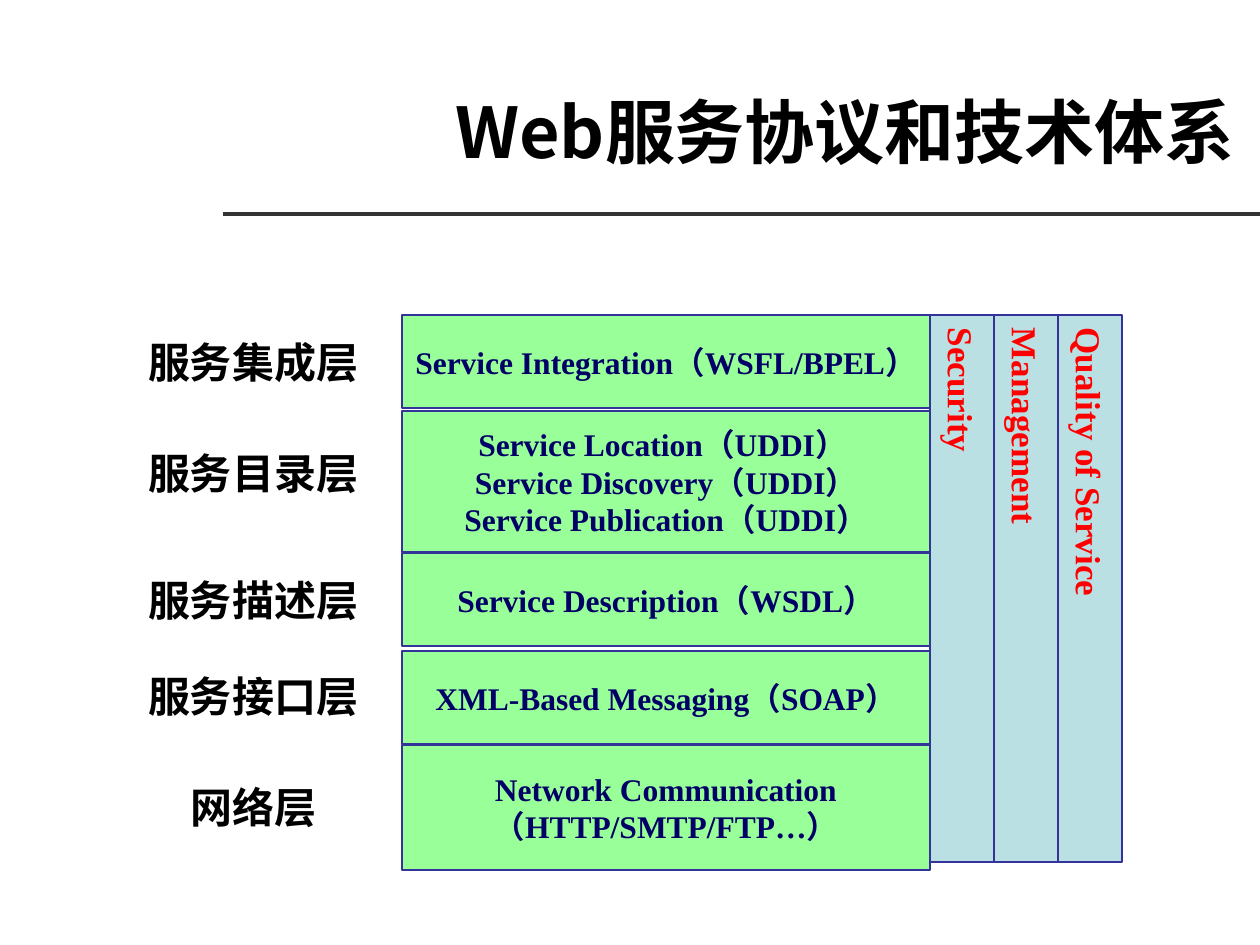
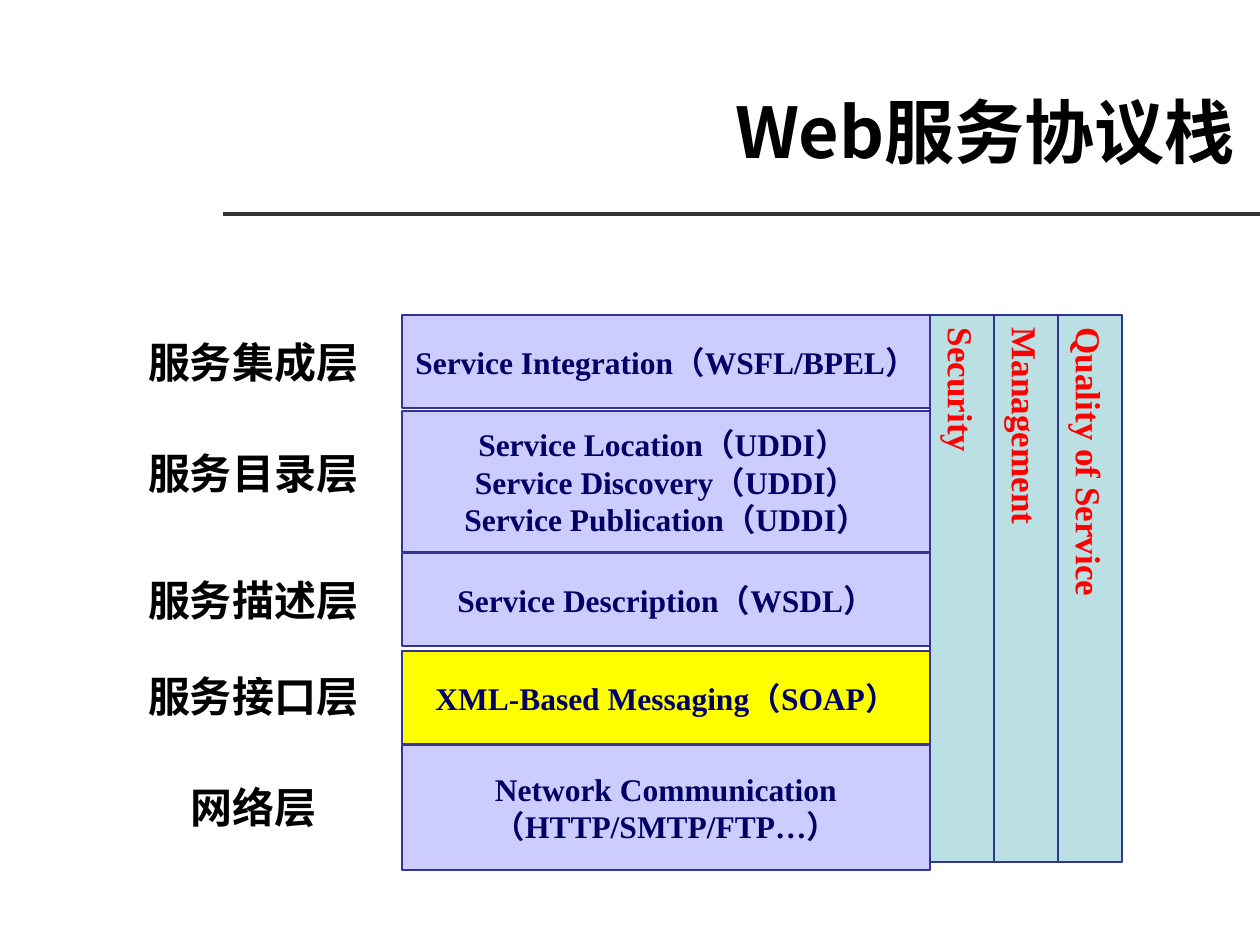
from lxml.etree import SubElement
from pptx import Presentation
from pptx.dml.color import RGBColor
from pptx.enum.shapes import MSO_CONNECTOR, MSO_SHAPE
from pptx.enum.text import MSO_ANCHOR, MSO_AUTO_SIZE, PP_ALIGN
from pptx.oxml.ns import qn
from pptx.util import Emu, Pt

PX_PER_INCH = 126
SLIDE_W, SLIDE_H = 1260, 945
TITLE_ONLY = 5

SANS, SERIF = "Noto Sans CJK SC", "Times New Roman"
BLACK, RULE, EDGE = "000000", "333333", "333399"
NAVY, RED = "000066", "FF0000"
GREEN, LILAC, YELLOW, TEAL = "99FF99", "CCCCFF", "FFFF00", "BBE0E3"

STACK_TOP, ROW_H = 315, 93
LABEL_X, LABEL_W = 105, 296
LAYER_X, LAYER_W = 402, 528
PILLAR_W, PILLAR_H = 64, 547

# name, top of the name
LABELS = [
    ("服务集成层", STACK_TOP),
    ("服务目录层", 426),
    ("服务描述层", 553),
    ("服务接口层", 649),
    ("网络层", 760),
]
# text lines, top, height
LAYERS = [
    (["Service Integration（WSFL/BPEL）"], STACK_TOP, ROW_H),
    (["Service Location（UDDI） ", "Service Discovery（UDDI）",
      "Service Publication（UDDI）"], 411, 141),
    (["Service Description（WSDL）"], 553, ROW_H),
    (["XML-Based Messaging（SOAP）"], 651, ROW_H),
    (["Network Communication", "（HTTP/SMTP/FTP…）"], 745, 125),
]
SOAP_LAYER = 3
PILLARS = ["Security", "Management", "Quality of Service"]


def px(n):
    return Emu(round(n * 914400 / PX_PER_INCH))


def rgb(color):
    return RGBColor.from_string(color)


def write(sp, lines, size, color=BLACK, font=SERIF, align=PP_ALIGN.CENTER,
          wrap=False, insets=None, vert=None):
    """Fill a shape with bold paragraphs; insets are (horizontal, vertical) points."""
    tf = sp.text_frame
    tf.auto_size = MSO_AUTO_SIZE.NONE
    tf.word_wrap = wrap
    tf.vertical_anchor = MSO_ANCHOR.MIDDLE
    if insets:
        tf.margin_left = tf.margin_right = Pt(insets[0])
        tf.margin_top = tf.margin_bottom = Pt(insets[1])
    if vert:
        sp.element.txBody.bodyPr.set("vert", vert)
    for i, line in enumerate(lines):
        p = tf.add_paragraph() if i else tf.paragraphs[0]
        p.alignment = align
        r = p.add_run()
        r.text = line
        r.font.size, r.font.bold, r.font.name = Pt(size), True, font
        r.font.color.rgb = rgb(color)
        SubElement(r.font._element, qn("a:ea"), typeface=SANS)


class Deck:
    """Holds the presentation style and the current slide."""

    def __init__(self):
        self.prs = Presentation()
        self.prs.slide_width, self.prs.slide_height = px(SLIDE_W), px(SLIDE_H)
        self.s = None

    def new_slide(self, title):
        self.s = self.prs.slides.add_slide(self.prs.slide_layouts[TITLE_ONLY])
        self.rule(223, 214, SLIDE_W)
        sp = self.s.shapes.title
        sp.left, sp.top, sp.width, sp.height = map(px, (223, 48, 1024, 166))
        write(sp, [title], 40, font=SANS, align=PP_ALIGN.RIGHT, wrap=True)

    def rule(self, x1, y, x2):
        line = self.s.shapes.add_connector(
            MSO_CONNECTOR.STRAIGHT, px(x1), px(y), px(x2), px(y))
        line.line.color.rgb = rgb(RULE)
        line.line.width = Pt(2.25)
        SubElement(line.element.spPr, qn("a:effectLst"))

    def label(self, text, x, y, w, h):
        sp = self.s.shapes.add_textbox(*map(px, (x, y, w, h)))
        write(sp, [text], 24)

    def box(self, lines, x, y, w, h, fill, **text_format):
        sp = self.s.shapes.add_shape(MSO_SHAPE.RECTANGLE, *map(px, (x, y, w, h)))
        sp.shadow.inherit = False
        sp.fill.solid()
        sp.fill.fore_color.rgb = rgb(fill)
        sp.line.color.rgb = rgb(EDGE)
        sp.line.width = Pt(0.75)
        write(sp, lines, **text_format)

    def protocol_stack(self, fill, highlight=None):
        """Draw the layers, their names and the pillars; highlight is a layer index."""
        for name, top in LABELS:
            self.label(name, LABEL_X, top, LABEL_W, ROW_H)
        for i, (lines, top, height) in enumerate(LAYERS):
            self.box(lines, LAYER_X, top, LAYER_W, height,
                     YELLOW if i == highlight else fill, size=18, color=NAVY)
        for i, name in enumerate(PILLARS):
            self.box([name], LAYER_X + LAYER_W + i * PILLAR_W, STACK_TOP,
                     PILLAR_W, PILLAR_H, TEAL, size=20, color=RED,
                     insets=(3.6, 7.2), vert="eaVert")


def main():
    deck = Deck()
    deck.new_slide("Web服务协议和技术体系")
    deck.protocol_stack(GREEN)
    deck.new_slide("Web服务协议栈")
    deck.protocol_stack(LILAC, highlight=SOAP_LAYER)
    deck.prs.save("out.pptx")


if __name__ == "__main__":
    main()
